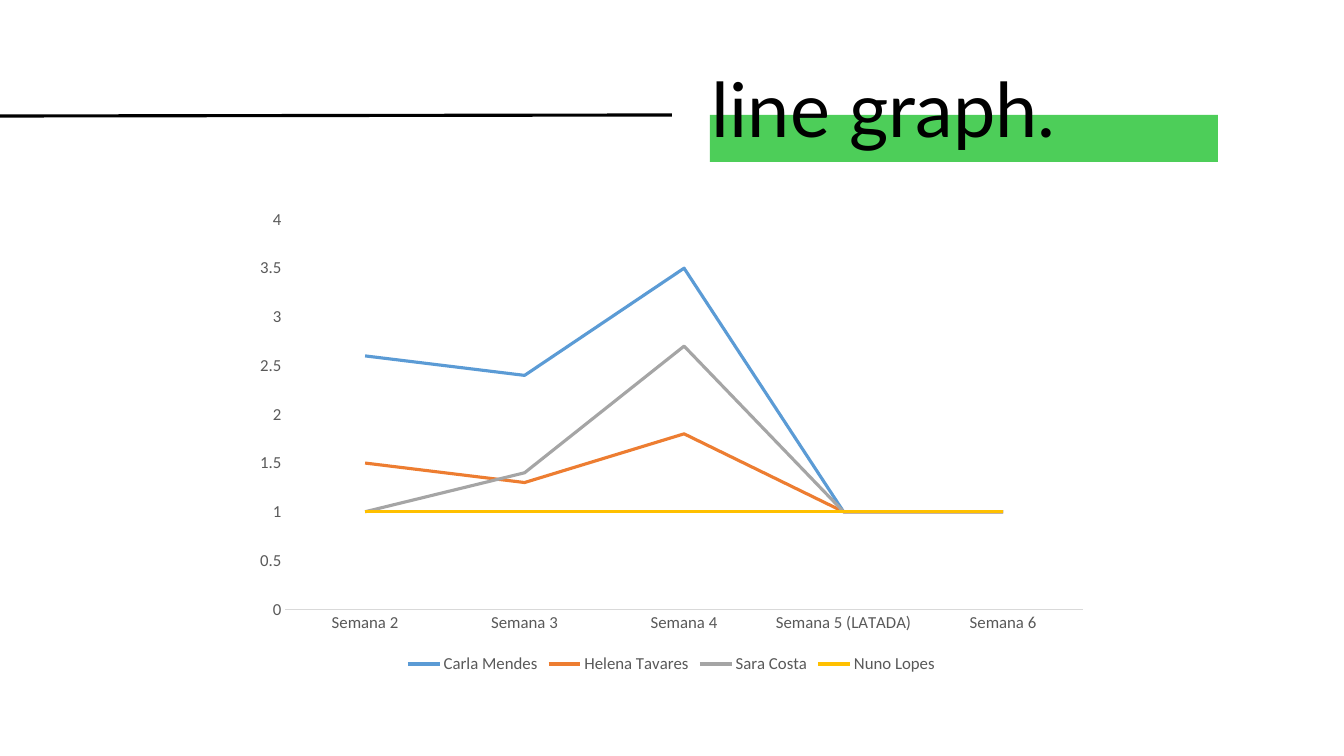
from lxml import etree
from pptx import Presentation
from pptx import util as u
from pptx.chart.data import CategoryChartData
from pptx.dml.color import RGBColor
from pptx.enum import chart as charts, shapes, text
from pptx.oxml.ns import qn

TITLE = "line graph."
WEEKS = ["Semana 2", "Semana 3", "Semana 4", "Semana 5 (LATADA)", "Semana 6"]
PEOPLE = {
    "Carla Mendes": (2.6, 2.4, 3.5, 1, 1),
    "Helena Tavares": (1.5, 1.3, 1.8, 1, 1),
    "Sara Costa": (1, 1.4, 2.7, 1, 1),
    "Nuno Lopes": (1, 1, 1, 1, 1),
}

SLIDE_SIZE = (1344, 756)
HIGHLIGHT_BOX = (710, 115, 508, 47)
RULE_ENDS = (0, 116, 672, 115)
TITLE_BOX = (702, 40, 549, 146)
CHART_BOX = (243, 200, 857, 478)
EMU_PER_PX = 914400 / 100.8


class Theme:
    ink = RGBColor.from_string("000000")
    highlight = RGBColor.from_string("4DCE59")
    label = RGBColor.from_string("595959")
    axis = RGBColor.from_string("D9D9D9")
    series = [RGBColor.from_string(c) for c in ("5B9BD5", "ED7D31", "A5A5A5", "FFC000")]
    title_font, chart_font = "Lato", "Calibri"
    title_size, chart_size, label_size = u.Pt(54), u.Pt(10), u.Pt(12)
    line_width, axis_width = u.Pt(2.25), u.Pt(0.75)


def emu(lengths):
    return [round(length * EMU_PER_PX) for length in lengths]


def style_font(font, name, size, color):
    font.name = name
    font.size = size
    font.color.rgb = color


def add_highlight(slide):
    shape = slide.shapes.add_shape(shapes.MSO_SHAPE.RECTANGLE, *emu(HIGHLIGHT_BOX))
    shape.shadow.inherit = False
    shape.fill.solid()
    shape.fill.fore_color.rgb = Theme.highlight
    shape.line.fill.background()


def add_rule(slide):
    rule = slide.shapes.add_connector(shapes.MSO_CONNECTOR.STRAIGHT, *emu(RULE_ENDS))
    rule.line.color.rgb = Theme.ink
    rule.line.width = Theme.line_width
    etree.SubElement(rule._element.spPr, qn("a:effectLst"))


def add_title(slide):
    frame = slide.shapes.add_textbox(*emu(TITLE_BOX)).text_frame
    frame.word_wrap = True
    frame.vertical_anchor = text.MSO_ANCHOR.MIDDLE
    paragraph = frame.paragraphs[0]
    paragraph.text = TITLE
    paragraph.line_spacing = 0.9
    style_font(paragraph.font, Theme.title_font, Theme.title_size, Theme.ink)


def add_line_chart(slide):
    data = CategoryChartData()
    data.categories = WEEKS
    for name, values in PEOPLE.items():
        data.add_series(name, values)
    chart = slide.shapes.add_chart(charts.XL_CHART_TYPE.LINE, *emu(CHART_BOX), data).chart
    style_font(chart.font, Theme.chart_font, Theme.chart_size, Theme.ink)
    chart.has_title = False
    chart.has_legend = True
    chart.legend.position = charts.XL_LEGEND_POSITION.BOTTOM
    chart.legend.include_in_layout = False
    for part in (chart.legend.font, chart.category_axis.tick_labels.font,
                 chart.value_axis.tick_labels.font):
        style_font(part, Theme.chart_font, Theme.label_size, Theme.label)
    for axis in (chart.category_axis, chart.value_axis):
        axis.has_major_gridlines = False
        axis.major_tick_mark = axis.minor_tick_mark = charts.XL_TICK_MARK.NONE
    chart.category_axis.format.line.color.rgb = Theme.axis
    chart.category_axis.format.line.width = Theme.axis_width
    chart.value_axis.format.line.fill.background()
    chart.value_axis.minimum_scale, chart.value_axis.maximum_scale = 0, 4
    chart.value_axis.major_unit = 0.5
    plot = chart.plots[0]
    plot.vary_by_categories = False
    for series, color in zip(plot.series, Theme.series):
        series.smooth = False
        series.marker.style = charts.XL_MARKER_STYLE.NONE
        series.format.line.color.rgb = color
        series.format.line.width = Theme.line_width


def main():
    presentation = Presentation()
    presentation.slide_width, presentation.slide_height = emu(SLIDE_SIZE)
    slide = presentation.slides.add_slide(presentation.slide_layouts[6])
    add_highlight(slide)
    add_rule(slide)
    add_title(slide)
    add_line_chart(slide)
    presentation.save("out.pptx")


if __name__ == "__main__":
    main()
